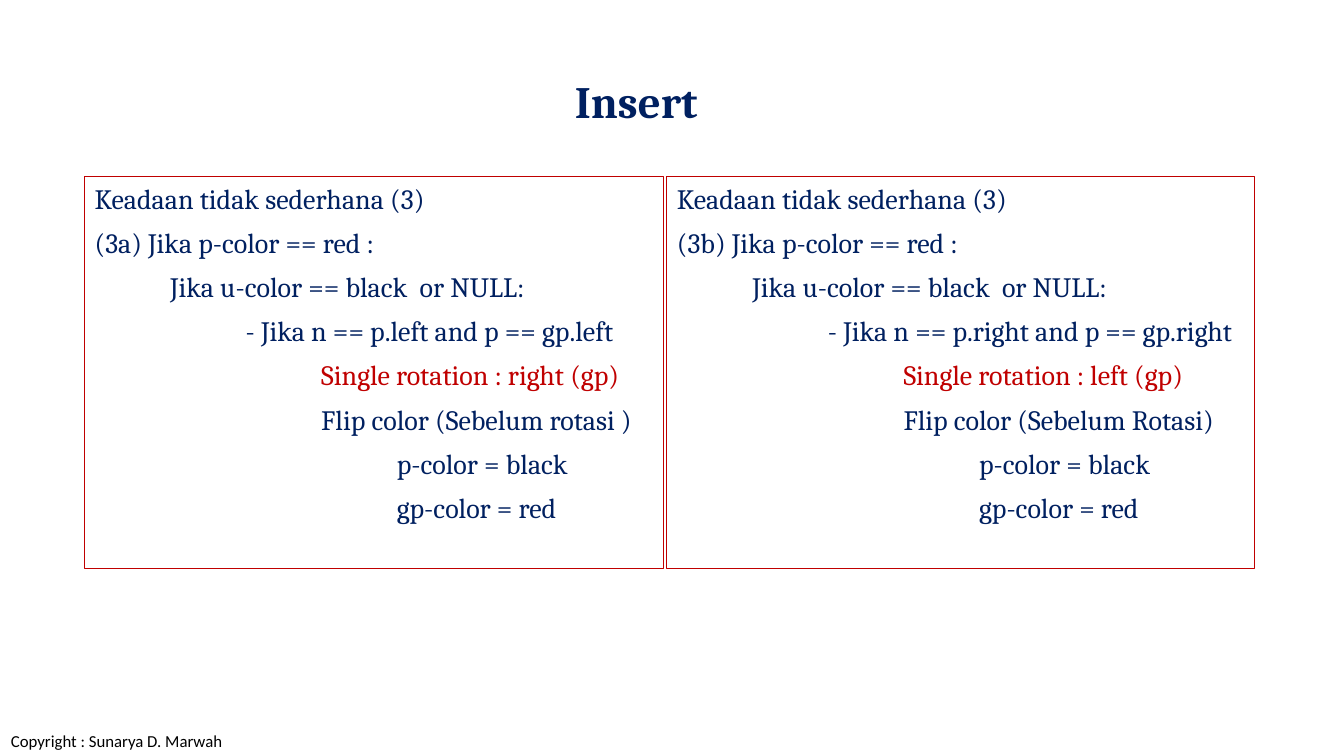
from pptx import Presentation
from pptx.dml.color import RGBColor
from pptx.enum import shapes, text
from pptx.util import Inches, Pt

NAVY = RGBColor(0x00, 0x20, 0x60)
RED = RGBColor(0xC0, 0x00, 0x00)
BLACK = RGBColor(0x00, 0x00, 0x00)

# Content: each case has its box left and width, label, side, rotation, note
TITLE = "Insert"
COPYRIGHT = "Copyright : Sunarya D. Marwah"
CASES = [
    (0.84, 5.75, "3a", "left", "right", "(Sebelum rotasi )"),
    (6.62, 5.83, "3b", "right", "left", "(Sebelum Rotasi)"),
]
# Indent level, wording, colour
STEPS = [
    (0, "Keadaan tidak sederhana (3)", NAVY),
    (0, "({label}) Jika p-color == red :", NAVY),
    (1, "Jika u-color == black  or NULL:", NAVY),
    (2, "- Jika n == p.{side} and p == gp.{side}", NAVY),
    (3, "Single rotation : {rotation} (gp)", RED),
    (3, "Flip color {note}", NAVY),
    (4, "p-color = black", NAVY),
    (4, "gp-color = red", NAVY),
]
INDENT = 0.75
BOX_TOP, BOX_HEIGHT = 1.75, 3.89

prs = Presentation()
prs.slide_width, prs.slide_height = Inches(13.34), Inches(7.5)
s = prs.slides.add_slide(prs.slide_layouts[6])


def add_run(p, words, size, color, font="Cambria", bold=False):
    r = p.add_run()
    r.text = words
    r.font.size, r.font.name, r.font.bold = Pt(size), font, bold
    r.font.color.rgb = color


def add_label(left, top, width, height):
    tf = s.shapes.add_textbox(*map(Inches, (left, top, width, height))).text_frame
    tf.word_wrap = True
    return tf


# Title
tf = add_label(2.1, 0.68, 8.43, 0.7)
tf.vertical_anchor = text.MSO_ANCHOR.MIDDLE
p = tf.paragraphs[0]
p.alignment = text.PP_ALIGN.CENTER
p.line_spacing = 0.9
add_run(p, TITLE, 32, NAVY, bold=True)

# One outlined box per case
for left, width, label, side, rotation, note in CASES:
    sp = s.shapes.add_shape(shapes.MSO_SHAPE.RECTANGLE, Inches(left),
                            Inches(BOX_TOP), Inches(width), Inches(BOX_HEIGHT))
    sp.shadow.inherit = False
    sp.fill.background()
    sp.line.color.rgb = RED
    sp.line.width = Pt(0.74)
    tf = sp.text_frame
    tf.word_wrap = True
    tf.vertical_anchor = text.MSO_ANCHOR.TOP
    for i, (level, words, color) in enumerate(STEPS):
        p = tf.add_paragraph() if i else tf.paragraphs[0]
        p.alignment = text.PP_ALIGN.LEFT
        p.space_before = Pt(7.5)
        pPr = p._p.get_or_add_pPr()
        pPr.set("marL", str(Inches(INDENT * level)))
        pPr.set("indent", "0")
        add_run(p, words.format(label=label, side=side, rotation=rotation,
                                note=note), 20, color)

# Copyright line
tf = add_label(0.01, 7.2, 3.7, 0.3)
add_run(tf.paragraphs[0], COPYRIGHT, 12, BLACK, "Calibri")

prs.save("out.pptx")
